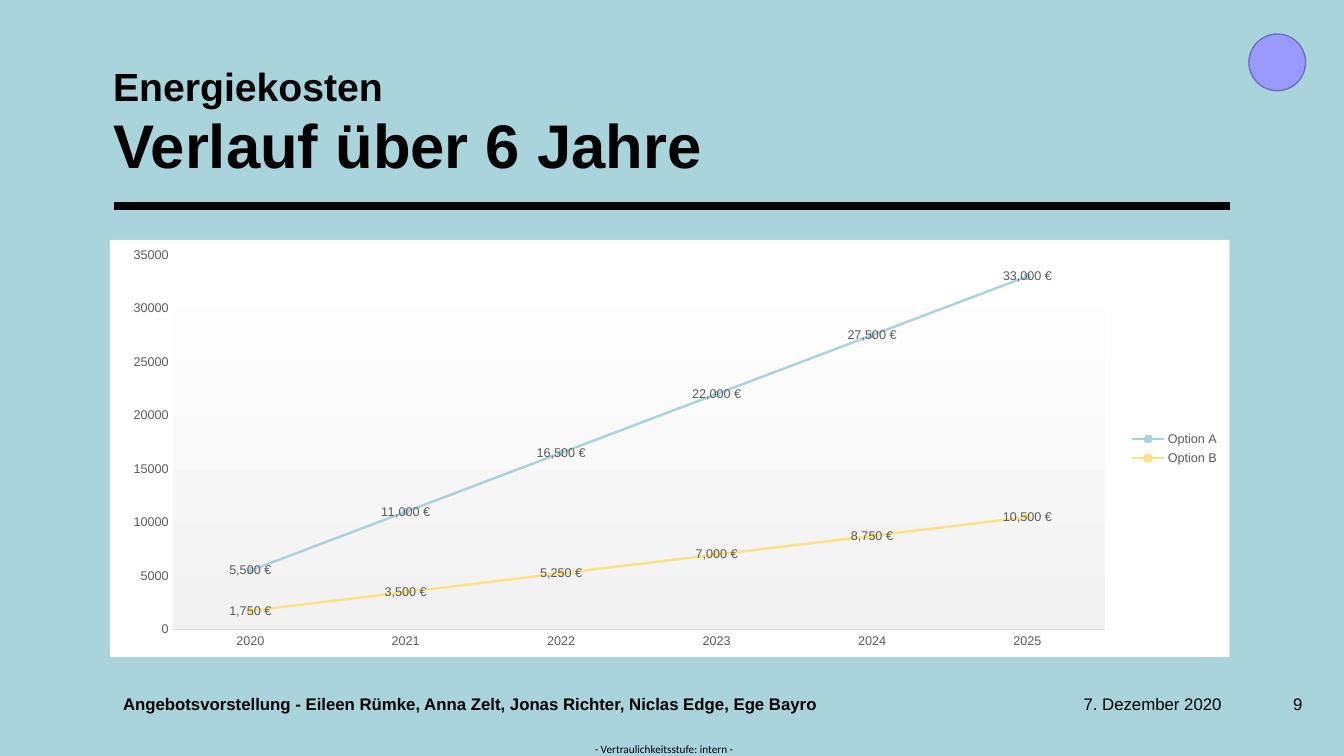
from lxml.etree import SubElement
from pptx import Presentation
from pptx.chart.data import CategoryChartData
from pptx.dml.color import RGBColor
from pptx.enum.chart import (
    XL_CHART_TYPE as ChartType,
    XL_LABEL_POSITION as LabelPosition,
    XL_LEGEND_POSITION as LegendPosition,
    XL_MARKER_STYLE as MarkerStyle,
    XL_TICK_MARK as TickMark,
)
from pptx.enum.shapes import MSO_CONNECTOR as Connector, MSO_SHAPE as Shape
from pptx.enum.text import MSO_ANCHOR as Anchor, PP_ALIGN as Align
from pptx.oxml import parse_xml
from pptx.oxml.ns import nsdecls, qn
from pptx.util import Pt

BACKGROUND = RGBColor(0xA9, 0xD4, 0xDC)
PANEL = RGBColor(0xA9, 0xD4, 0xDB)
YELLOW = RGBColor(0xFB, 0xE2, 0x84)
VIOLET = RGBColor(0x99, 0x99, 0xFF)
VIOLET_EDGE = RGBColor(0x70, 0x6F, 0xBB)
BLACK = RGBColor(0, 0, 0)
GREY = RGBColor(0x59, 0x59, 0x59)
LIGHT_GREY = RGBColor(0xD9, 0xD9, 0xD9)

YEARS = ["2020", "2021", "2022", "2023", "2024", "2025"]
OPTIONS = [("Option A", 5500, PANEL), ("Option B", 1750, YELLOW)]
FOOTER_TOP, FOOTER_HEIGHT = 495.4, 14.4


def set_font(font, size, color=BLACK, bold=False, name="Arial"):
    font.name = name
    font.size = Pt(size)
    font.bold = bold
    font.color.rgb = color


def set_margins(frame, horizontal, vertical):
    frame.margin_left = frame.margin_right = Pt(horizontal)
    frame.margin_top = frame.margin_bottom = Pt(vertical)


def add_text(slide, text, box, size, bold=False, name="Arial",
             align=Align.LEFT, anchor=Anchor.MIDDLE, margins=(7.2, 3.6)):
    frame = slide.shapes.add_textbox(*map(Pt, box)).text_frame
    frame.word_wrap = True
    frame.vertical_anchor = anchor
    set_margins(frame, *margins)
    paragraph = frame.paragraphs[0]
    paragraph.text = text
    paragraph.alignment = align
    set_font(paragraph.font, size, bold=bold, name=name)


def add_shape(slide, kind, box, fill, edge=None):
    shape = slide.shapes.add_shape(kind, *map(Pt, box))
    shape.shadow.inherit = False
    shape.fill.solid()
    shape.fill.fore_color.rgb = fill
    if edge is None:
        shape.line.fill.background()
    else:
        shape.line.color.rgb = edge
        shape.line.width = Pt(1)
    return shape


def add_rule(slide, left, right, top):
    rule = slide.shapes.add_connector(Connector.STRAIGHT, Pt(left), Pt(top), Pt(right), Pt(top))
    rule.line.color.rgb = BLACK
    rule.line.width = Pt(6)
    SubElement(rule.element.spPr, qn("a:effectLst"))


def add_title_run(paragraph, text, size):
    run = paragraph.add_run()
    run.text = text
    set_font(run.font, size, bold=True)


def format_title(title):
    title.left, title.top, title.width, title.height = map(Pt, (80.8, 30.2, 614.9, 99.4))
    frame = title.text_frame
    frame.word_wrap = True
    frame.vertical_anchor = Anchor.BOTTOM
    set_margins(frame, 0, 0)
    paragraph = frame.paragraphs[0]
    paragraph.alignment = Align.LEFT
    paragraph.line_spacing = 0.9
    add_title_run(paragraph, "Energiekosten", 28)
    add_title_run(paragraph, " ", 44)
    paragraph.add_line_break()
    add_title_run(paragraph, "Verlauf über 6 Jahre", 44)


def format_axis(axis):
    axis.has_major_gridlines = False
    axis.major_tick_mark = axis.minor_tick_mark = TickMark.NONE
    set_font(axis.tick_labels.font, 9, GREY)


def format_series(series, color):
    series.smooth = False
    series.format.line.color.rgb = color
    series.format.line.width = Pt(1.75)
    marker = series.marker
    marker.style = MarkerStyle.CIRCLE
    marker.size = 4
    marker.format.fill.solid()
    marker.format.fill.fore_color.rgb = color
    marker.format.line.color.rgb = color
    labels = series.data_labels
    labels.show_value = True
    labels.position = LabelPosition.CENTER
    labels.number_format = '#,##0\\ "€"'
    labels.number_format_is_linked = False
    set_font(labels.font, 9, GREY)


def format_plot_area(chart):
    plot_area = chart.element.chart.plotArea
    for layout in plot_area.findall(qn("c:layout")):
        plot_area.remove(layout)
    plot_area.insert(0, parse_xml(
        f'<c:layout {nsdecls("c")}><c:manualLayout><c:layoutTarget val="inner"/>'
        '<c:xMode val="edge"/><c:yMode val="edge"/><c:x val="0.056"/><c:y val="0.036"/>'
        '<c:w val="0.833"/><c:h val="0.898"/></c:manualLayout></c:layout>'))
    plot_area.append(parse_xml(
        f'<c:spPr {nsdecls("c", "a")}><a:gradFill><a:gsLst>'
        '<a:gs pos="0"><a:srgbClr val="FFFFFF"/></a:gs>'
        '<a:gs pos="100000"><a:srgbClr val="F2F2F2"/></a:gs></a:gsLst>'
        '<a:lin ang="5400000" scaled="0"/></a:gradFill><a:ln><a:noFill/></a:ln></c:spPr>'))
    chart.element.chart.addnext(parse_xml(
        f'<c:spPr {nsdecls("c", "a")}><a:solidFill><a:srgbClr val="FFFFFF"/></a:solidFill>'
        '<a:ln><a:noFill/></a:ln></c:spPr>'))


def add_cost_chart(slide, box):
    data = CategoryChartData()
    data.categories = YEARS
    for name, yearly_cost, _ in OPTIONS:
        data.add_series(name, [yearly_cost * year for year in range(1, len(YEARS) + 1)])
    chart = slide.shapes.add_chart(ChartType.LINE_MARKERS, *map(Pt, box), data).chart
    set_font(chart.font, 10, GREY)
    chart.has_title = False
    chart.has_legend = True
    chart.legend.position = LegendPosition.RIGHT
    chart.legend.include_in_layout = False
    set_font(chart.legend.font, 9, GREY)
    for axis in (chart.category_axis, chart.value_axis):
        format_axis(axis)
    chart.category_axis.format.line.color.rgb = LIGHT_GREY
    chart.category_axis.format.line.width = Pt(0.75)
    values = chart.value_axis
    values.format.line.fill.background()
    values.minimum_scale, values.maximum_scale, values.major_unit = 0, 35000, 5000
    values.tick_labels.number_format = "General"
    values.tick_labels.number_format_is_linked = False
    chart.plots[0].vary_by_categories = False
    for series, (_, _, color) in zip(chart.plots[0].series, OPTIONS):
        format_series(series, color)
    format_plot_area(chart)


def add_footer(slide):
    add_text(slide, "Angebotsvorstellung - Eileen Rümke, Anna Zelt, Jonas Richter, Niclas Edge, Ege Bayro",
             (80.8, FOOTER_TOP, 687.6, FOOTER_HEIGHT), 12, bold=True)
    add_text(slide, "7. Dezember 2020", (774, FOOTER_TOP, 120.2, FOOTER_HEIGHT), 12, margins=(0, 3.6))
    add_text(slide, "9", (905, FOOTER_TOP, 32.4, FOOTER_HEIGHT), 12, align=Align.RIGHT)
    add_text(slide, "- Vertraulichkeitsstufe: intern -", (422.6, 530.6, 103.7, 9.4), 8,
             name="Calibri", align=Align.CENTER, anchor=Anchor.TOP, margins=(0, 0))


def main():
    presentation = Presentation()
    presentation.slide_width, presentation.slide_height = Pt(960), Pt(540)
    slide = presentation.slides.add_slide(presentation.slide_layouts[5])
    slide.background.fill.solid()
    slide.background.fill.fore_color.rgb = BACKGROUND
    title = slide.shapes.title
    panel = add_shape(slide, Shape.RECTANGLE, (0, 0, 878.4, 458), PANEL)
    title.element.addprevious(panel.element)
    add_rule(slide, 81.4, 878.4, 147.3)
    format_title(title)
    add_footer(slide)
    add_shape(slide, Shape.OVAL, (892.1, 24.3, 40.5, 40.5), VIOLET, VIOLET_EDGE)
    add_cost_chart(slide, (78.5, 171.4, 799.7, 298))
    presentation.save("out.pptx")


if __name__ == "__main__":
    main()
